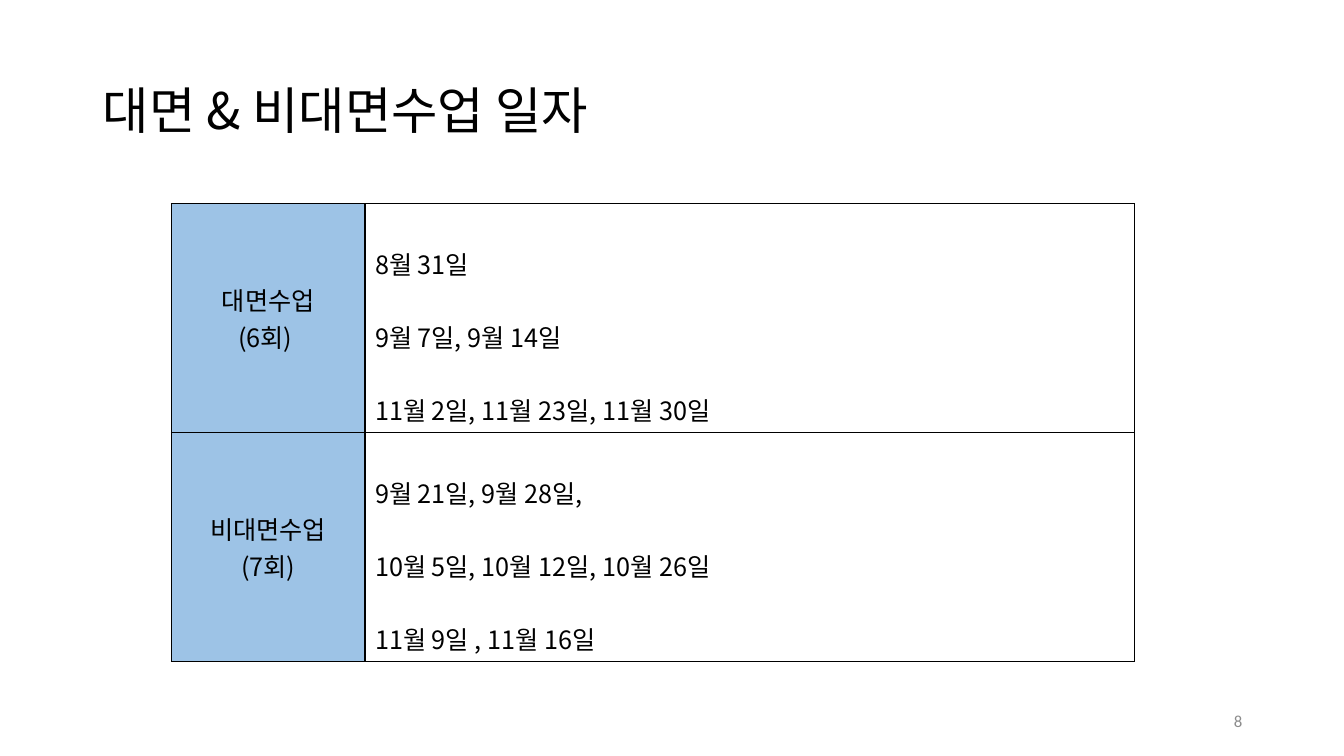
import pptx
import pptx.util
import pptx.dml.color
import pptx.enum.text
import pptx.oxml.ns
from lxml import etree

Inches = pptx.util.Inches
Pt = pptx.util.Pt
ALIGN = pptx.enum.text.PP_ALIGN
MIDDLE = pptx.enum.text.MSO_ANCHOR.MIDDLE
TOP = pptx.enum.text.MSO_ANCHOR.TOP
KOREAN = "Noto Sans CJK KR"


def color(hex_value):
    return pptx.dml.color.RGBColor.from_string(hex_value)


def write(frame, text, size=18, font=KOREAN, ink="000000",
          align=ALIGN.LEFT, spacing=1.0, anchor=MIDDLE):
    frame.word_wrap = True
    frame.vertical_anchor = anchor
    for index, line in enumerate(text.split("\n")):
        paragraph = frame.paragraphs[0] if index == 0 else frame.add_paragraph()
        paragraph.alignment = align
        paragraph.line_spacing = spacing
        run = paragraph.add_run()
        run.text = line
        run.font.size = Pt(size)
        run.font.name = font
        run.font.color.rgb = color(ink)
        run.font._element.set("kern", "0")
        east_asian = etree.SubElement(run.font._element, pptx.oxml.ns.qn("a:ea"))
        east_asian.set("typeface", font)


presentation = pptx.Presentation()
presentation.slide_width = Inches(13.33)
presentation.slide_height = Inches(7.5)
slide = presentation.slides.add_slide(presentation.slide_layouts[6])

# Title and page number
title = slide.shapes.add_textbox(Inches(0.92), Inches(0.4), Inches(11.5), Inches(1.45))
write(title.text_frame, "대면 & 비대면수업 일자", size=36, spacing=0.9)
page_number = slide.shapes.add_textbox(Inches(9.42), Inches(6.95), Inches(3), Inches(0.4))
write(page_number.text_frame, "8", size=12, font="Calibri", ink="8C8C8C", align=ALIGN.RIGHT)

# Class schedule: kind of class, dates
schedule = [
    ("대면수업\n(6회) ",
     "8월 31일\n9월 7일, 9월 14일\n11월 2일, 11월 23일, 11월 30일"),
    ("비대면수업\n(7회)",
     "9월 21일, 9월 28일,\n10월 5일, 10월 12일, 10월 26일\n11월 9일 , 11월 16일"),
]
column_widths = [1.92, 7.63]
row_height = 2.27
table = slide.shapes.add_table(
    len(schedule), len(column_widths), Inches(1.7), Inches(2.02),
    Inches(sum(column_widths)), Inches(row_height * len(schedule))).table
table.first_row = False
table.horz_banding = False
for column, width in zip(table.columns, column_widths):
    column.width = Inches(width)

for row_index, (class_kind, dates) in enumerate(schedule):
    table.rows[row_index].height = Inches(row_height)
    kind_cell, dates_cell = table.rows[row_index].cells
    write(kind_cell.text_frame, class_kind, align=ALIGN.CENTER)
    write(dates_cell.text_frame, dates, spacing=2.0)
    for cell, fill, anchor in ((kind_cell, "9DC3E6", MIDDLE), (dates_cell, "FFFFFF", TOP)):
        cell.vertical_anchor = anchor
        # Borders come before the fill in the cell properties
        properties = cell._tc.get_or_add_tcPr()
        for side in ("lnL", "lnR", "lnT", "lnB"):
            border = etree.SubElement(properties, pptx.oxml.ns.qn("a:" + side), w=str(Pt(1)))
            solid = etree.SubElement(border, pptx.oxml.ns.qn("a:solidFill"))
            etree.SubElement(solid, pptx.oxml.ns.qn("a:srgbClr"), val="000000")
        cell.fill.solid()
        cell.fill.fore_color.rgb = color(fill)

presentation.save("out.pptx")
